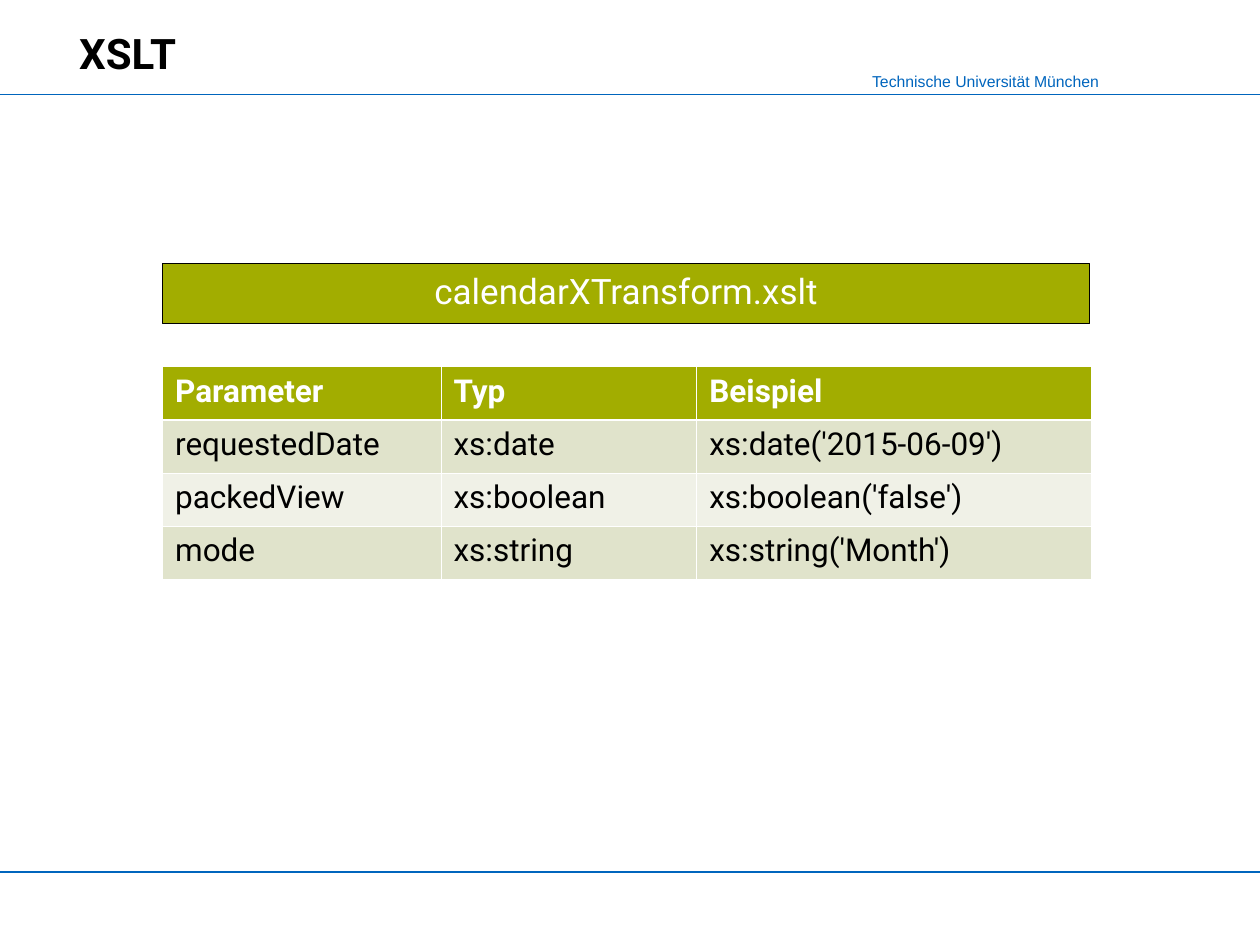
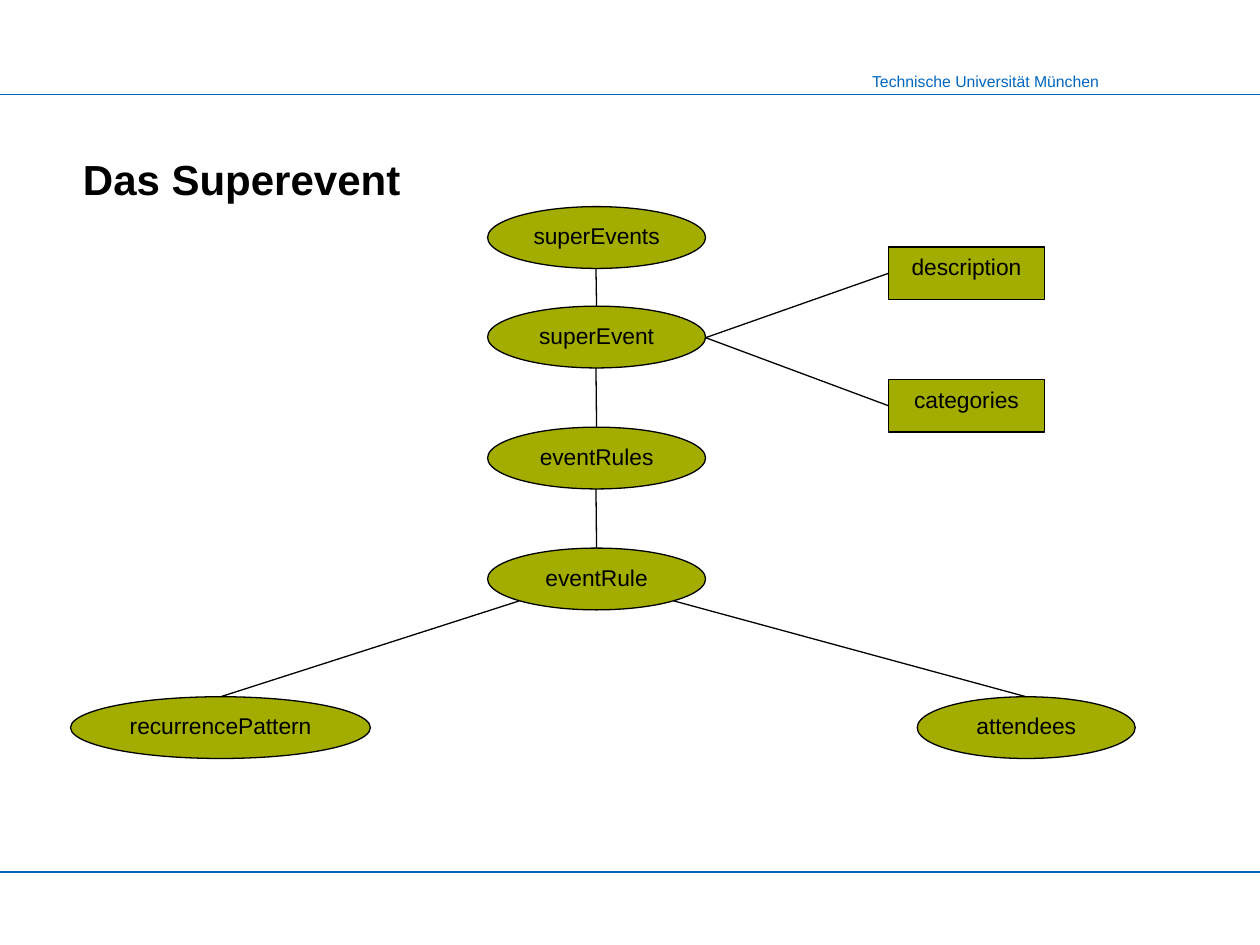
"""Build two slides on XSLT parameters and the structure of a superevent."""
from lxml import etree
from pptx import Presentation
from pptx.dml.color import RGBColor
from pptx.enum.shapes import MSO_CONNECTOR, MSO_SHAPE
from pptx.enum.text import MSO_ANCHOR, PP_ALIGN
from pptx.oxml.ns import qn
from pptx.util import Inches, Pt

STRAIGHT = MSO_CONNECTOR.STRAIGHT
RECT, OVAL = MSO_SHAPE.RECTANGLE, MSO_SHAPE.OVAL
TOP, BOTTOM = MSO_ANCHOR.TOP, MSO_ANCHOR.BOTTOM
LEFT, CENTER, RIGHT = PP_ALIGN.LEFT, PP_ALIGN.CENTER, PP_ALIGN.RIGHT

BLUE, GREEN, BLACK, WHITE = "0065BD", "A2AD00", "000000", "FFFFFF"
BANDS = ["E0E3CB", "F0F1E7"]
rgb = RGBColor.from_string

UNIVERSITY = {"name": "Arial", "size": Pt(9), "color": BLUE}
BANNER = {"name": "Roboto", "size": Pt(20), "color": WHITE}
NODE = {"name": "Arial", "size": Pt(13), "color": BLACK}
HEAD = {"name": "Roboto", "size": Pt(18), "bold": True, "color": WHITE}
BODY = {"name": "Roboto", "size": Pt(18), "bold": False, "color": BLACK}


def write(tf, text, fmt, align=LEFT, anchor=TOP, wrap=True):
    """Put one formatted paragraph into a text frame."""
    tf.word_wrap = wrap
    tf.vertical_anchor = anchor
    p = tf.paragraphs[0]
    p.alignment = align
    r = p.add_run()
    r.text = text
    for key, value in fmt.items():
        if key == "color":
            r.font.color.rgb = rgb(value)
        else:
            setattr(r.font, key, value)


def draw_line(s, x1, y1, x2, y2, color):
    """Draw a thin straight connector without a shadow."""
    line = s.shapes.add_connector(STRAIGHT, *map(Inches, (x1, y1, x2, y2)))
    line.line.color.rgb = rgb(color)
    line.line.width = Pt(0.75)
    etree.SubElement(line._element.spPr, qn("a:effectLst"))
    return line


prs = Presentation()
prs.slide_width, prs.slide_height = Inches(10), Inches(7.5)

slides = []
for title, font, x, y in [("XSLT", "Roboto", 0.53, 0), ("Das Superevent", "Arial", 0.56, 1)]:
    s = prs.slides.add_slide(prs.slide_layouts[6])
    slides.append(s)
    for rule_y in (0.75, 6.92):
        draw_line(s, 0, rule_y, 10, rule_y, BLUE)
    sp = s.shapes.add_textbox(Inches(6.81), Inches(0.52), Inches(2.01), Inches(0.25))
    write(sp.text_frame, "Technische Universität München", UNIVERSITY, RIGHT, wrap=False)
    sp = s.shapes.add_textbox(Inches(x), Inches(y), Inches(8.89), Inches(0.67))
    fmt = {"name": font, "size": Pt(24), "bold": True, "color": BLACK}
    write(sp.text_frame, title, fmt, anchor=BOTTOM)
xslt, tree = slides

boxes = [
    (xslt, RECT, "calendarXTransform.xslt", 1.29, 2.09, 7.36, 0.48, BANNER),
    (tree, OVAL, "superEvents", 3.87, 1.64, 1.73, 0.49, NODE),
    (tree, OVAL, "superEvent", 3.87, 2.43, 1.73, 0.49, NODE),
    (tree, OVAL, "eventRules", 3.87, 3.39, 1.73, 0.49, NODE),
    (tree, OVAL, "eventRule", 3.87, 4.35, 1.73, 0.49, NODE),
    (tree, OVAL, "recurrencePattern", 0.56, 5.53, 2.38, 0.49, NODE),
    (tree, OVAL, "attendees", 7.28, 5.53, 1.73, 0.49, NODE),
    (tree, RECT, "description", 7.05, 1.96, 1.24, 0.42, NODE),
    (tree, RECT, "categories", 7.05, 3.01, 1.24, 0.42, NODE),
]
nodes = {}
for s, kind, text, x, y, w, h, fmt in boxes:
    sp = s.shapes.add_shape(kind, *map(Inches, (x, y, w, h)))
    sp.shadow.inherit = False
    sp.fill.solid()
    sp.fill.fore_color.rgb = rgb(GREEN)
    sp.line.color.rgb = rgb(BLACK)
    sp.line.width = Pt(0.75)
    write(sp.text_frame, text, fmt, CENTER)
    nodes[text] = sp

edges = [
    (4.73, 2.13, "superEvent", 0),
    (4.73, 2.92, "eventRules", 0),
    (4.73, 3.88, "eventRule", 0),
    (4.12, 4.77, "recurrencePattern", 0),
    (5.35, 4.77, "attendees", 0),
    (5.6, 2.68, "description", 1),
    (5.6, 2.68, "categories", 1),
]
for x, y, child, site in edges:
    draw_line(tree, x, y, x, y, BLACK).end_connect(nodes[child], site)

rows = [
    ("Parameter", "Typ", "Beispiel"),
    ("requestedDate", "xs:date", "xs:date('2015-06-09')"),
    ("packedView", "xs:boolean", "xs:boolean('false')"),
    ("mode", "xs:string", "xs:string('Month')"),
]
table = xslt.shapes.add_table(4, 3, Inches(1.29), Inches(2.91), Inches(7.37), Inches(1.69)).table
table.horz_banding = False
for column, width in zip(table.columns, (2.21, 2.03, 3.13)):
    column.width = Inches(width)
for i, row in enumerate(rows):
    for j, text in enumerate(row):
        cell = table.cell(i, j)
        write(cell.text_frame, text, BODY if i else HEAD)
        tcPr = cell._tc.get_or_add_tcPr()
        for side in ("lnL", "lnR", "lnT", "lnB"):
            thick = (i, side) in [(0, "lnB"), (1, "lnT")]
            ln = etree.SubElement(tcPr, qn(f"a:{side}"), w=str(Pt(1.47 if thick else 0.45)))
            fill = etree.SubElement(ln, qn("a:solidFill"))
            etree.SubElement(fill, qn("a:srgbClr"), val=WHITE)
        cell.fill.solid()
        cell.fill.fore_color.rgb = rgb(BANDS[(i - 1) % 2] if i else GREEN)

prs.save("out.pptx")
